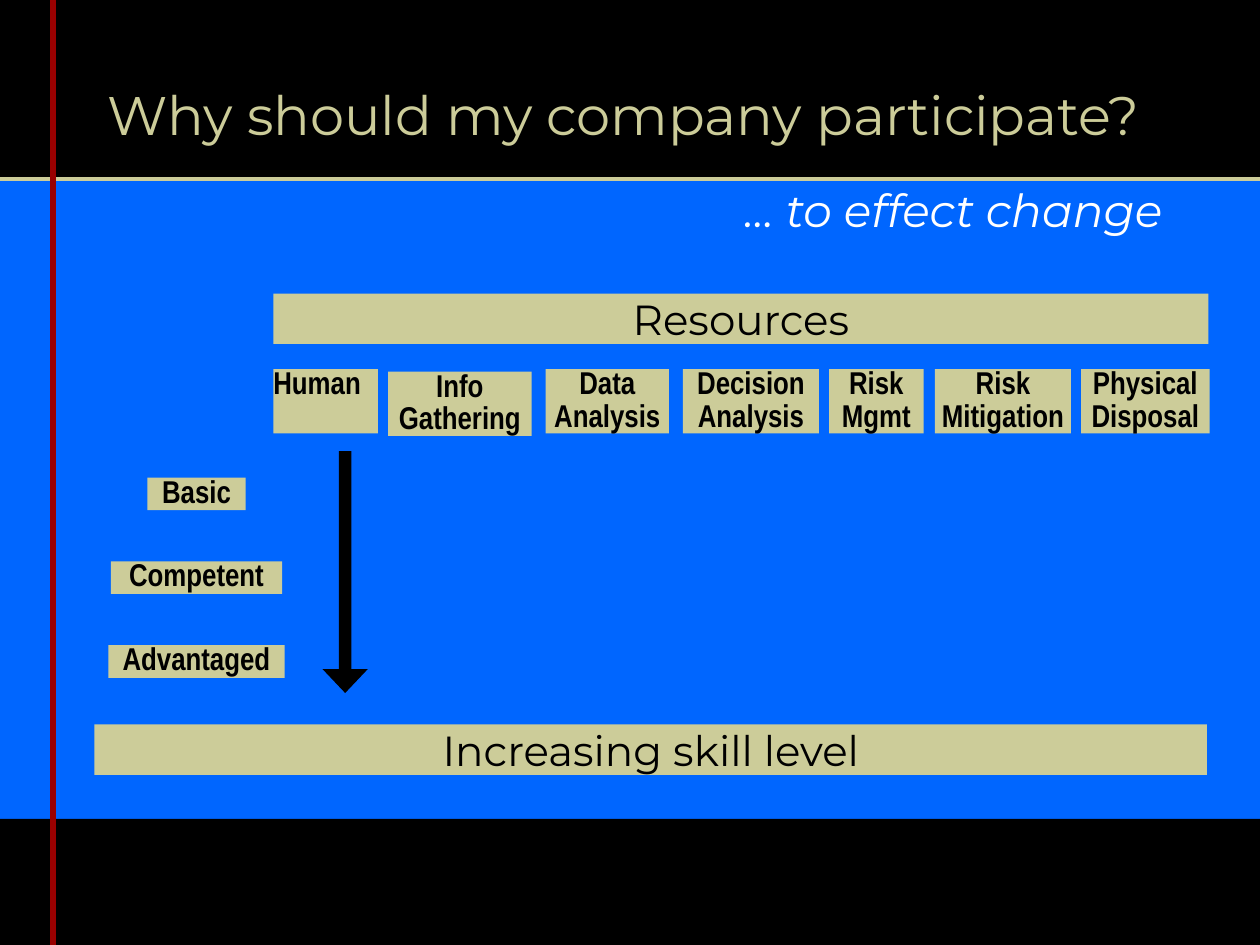
from pptx import Presentation
from pptx.dml.color import RGBColor
from pptx.enum.shapes import MSO_CONNECTOR, MSO_SHAPE
from pptx.enum.text import MSO_ANCHOR, MSO_AUTO_SIZE, PP_ALIGN
from pptx.oxml.ns import qn
from pptx.util import Inches, Pt
from lxml import etree

BLUE = RGBColor(0x00, 0x66, 0xFF)
BLACK = RGBColor(0, 0, 0)
SAND = RGBColor(0xCC, 0xCC, 0x99)
RED = RGBColor(0x99, 0, 0)
WHITE = RGBColor(0xFF, 0xFF, 0xFF)
SANS, NARROW = "Montserrat", "Arial Narrow"


def paint(shape, color):
    shape.shadow.inherit = False
    shape.fill.solid()
    shape.fill.fore_color.rgb = color
    shape.line.fill.background()


def add_bar(shapes, box, color):
    bar = shapes.add_shape(MSO_SHAPE.RECTANGLE, *map(Inches, box))
    paint(bar, color)
    return bar


def add_rule(shapes, start, end, color, width):
    rule = shapes.add_connector(MSO_CONNECTOR.STRAIGHT, *map(Inches, start + end))
    rule.line.color.rgb = color
    rule.line.width = Pt(width)
    etree.SubElement(rule.element.spPr, qn("a:effectLst"))


def write(shape, text, size, font, color, align=PP_ALIGN.CENTER, space=1.0,
          pad=(0, 0), anchor=MSO_ANCHOR.TOP, bold=False, italic=False):
    frame = shape.text_frame
    frame.word_wrap = True
    frame.auto_size = MSO_AUTO_SIZE.NONE
    frame.vertical_anchor = anchor
    frame.margin_left = frame.margin_right = Inches(pad[0])
    frame.margin_top = frame.margin_bottom = Inches(pad[1])
    para = frame.paragraphs[0]
    para.alignment = align
    para.line_spacing = space
    run = para.add_run()
    run.text = text
    run.font.size = Pt(size)
    run.font.name = font
    run.font.color.rgb = color
    run.font.bold = bold
    run.font.italic = italic


def add_frame(slide, wide, high):
    """Black bands at top and bottom, with the two rules."""
    top, foot, edge = 1.42, 1, 0.42
    add_bar(slide.shapes, (0, 0, wide, top), BLACK)
    add_rule(slide.shapes, (0, top), (wide, top), SAND, 2)
    add_bar(slide.shapes, (0, high - foot, wide, foot), BLACK)
    add_rule(slide.shapes, (edge, 0), (edge, high), RED, 3)


def add_heads(slide, title_box, sub_box):
    """Title and the line below it."""
    title = slide.shapes.title
    title.left, title.top, title.width, title.height = map(Inches, title_box)
    tree = title.element.getparent()
    tree.append(title.element)  # in front of the black band
    look = dict(space=0.8, pad=(0.1, 0.05), anchor=MSO_ANCHOR.MIDDLE)
    write(title, "Why should my company participate?", 31, SANS, SAND,
          PP_ALIGN.LEFT, **look)
    sub = slide.shapes.add_textbox(*map(Inches, sub_box))
    write(sub, "… to effect change", 26, SANS, WHITE, PP_ALIGN.RIGHT,
          italic=True, **look)


def add_banner(slide, box, text):
    write(add_bar(slide.shapes, box, SAND), text, 24, SANS, BLACK)


def add_label(slide, box, text, align=PP_ALIGN.CENTER):
    write(add_bar(slide.shapes, box, SAND), text, 18, NARROW, BLACK,
          align, space=0.85, bold=True)


def add_columns(slide, left, top):
    """Row of resource types: offset, drop, width, text."""
    columns = [
        (0, 0, 0.83, "Human"),
        (0.91, 0.02, 1.14, "Info Gathering"),
        (2.16, 0, 0.98, "Data Analysis"),
        (3.25, 0, 1.08, "Decision Analysis"),
        (4.41, 0, 0.75, "Risk Mgmt"),
        (5.25, 0, 1.08, "Risk Mitigation"),
        (6.41, 0, 1.02, "Physical Disposal"),
    ]
    for x, drop, wide, text in columns:
        align = PP_ALIGN.CENTER if x else PP_ALIGN.LEFT
        add_label(slide, (left + x, top + drop, wide, 0.51), text, align)


def add_levels(slide, mid, top):
    """Skill levels, centred on one axis at equal steps."""
    levels = [("Basic", 0.78), ("Competent", 1.36), ("Advantaged", 1.4)]
    for row, (text, wide) in enumerate(levels):
        add_label(slide, (mid - wide / 2, top + row * 0.665, wide, 0.26), text)


def add_arrow(slide, left, top, wide, high):
    """Downward arrow: a shaft and a head in one group."""
    head, shaft = 0.19, 0.1
    mid, neck = left + wide / 2, top + high - head
    group = slide.shapes.add_group_shape()
    add_bar(group.shapes, (mid - shaft / 2, top, shaft, high - head), BLACK)
    pen = group.shapes.build_freeform(Inches(left), Inches(neck))
    pen.add_line_segments([(Inches(mid), Inches(top + high)),
                           (Inches(left + wide), Inches(neck))], close=True)
    paint(pen.convert_to_shape(), BLACK)


def main():
    deck = Presentation()
    deck.slide_width, deck.slide_height = Inches(10), Inches(7.5)
    slide = deck.slides.add_slide(deck.slide_layouts[5])
    slide.background.fill.solid()
    slide.background.fill.fore_color.rgb = BLUE

    add_frame(slide, 10, 7.5)
    add_heads(slide, (0.75, 0.58, 9.17, 0.75), (0.58, 1.33, 8.75, 0.75))
    add_levels(slide, 1.56, 3.79)
    add_arrow(slide, 2.56, 3.58, 0.36, 1.92)
    add_banner(slide, (0.75, 5.75, 8.83, 0.4), "Increasing skill level")
    add_columns(slide, 2.17, 2.93)
    add_banner(slide, (2.17, 2.33, 7.42, 0.4), "Resources")
    deck.save("out.pptx")


if __name__ == "__main__":
    main()
